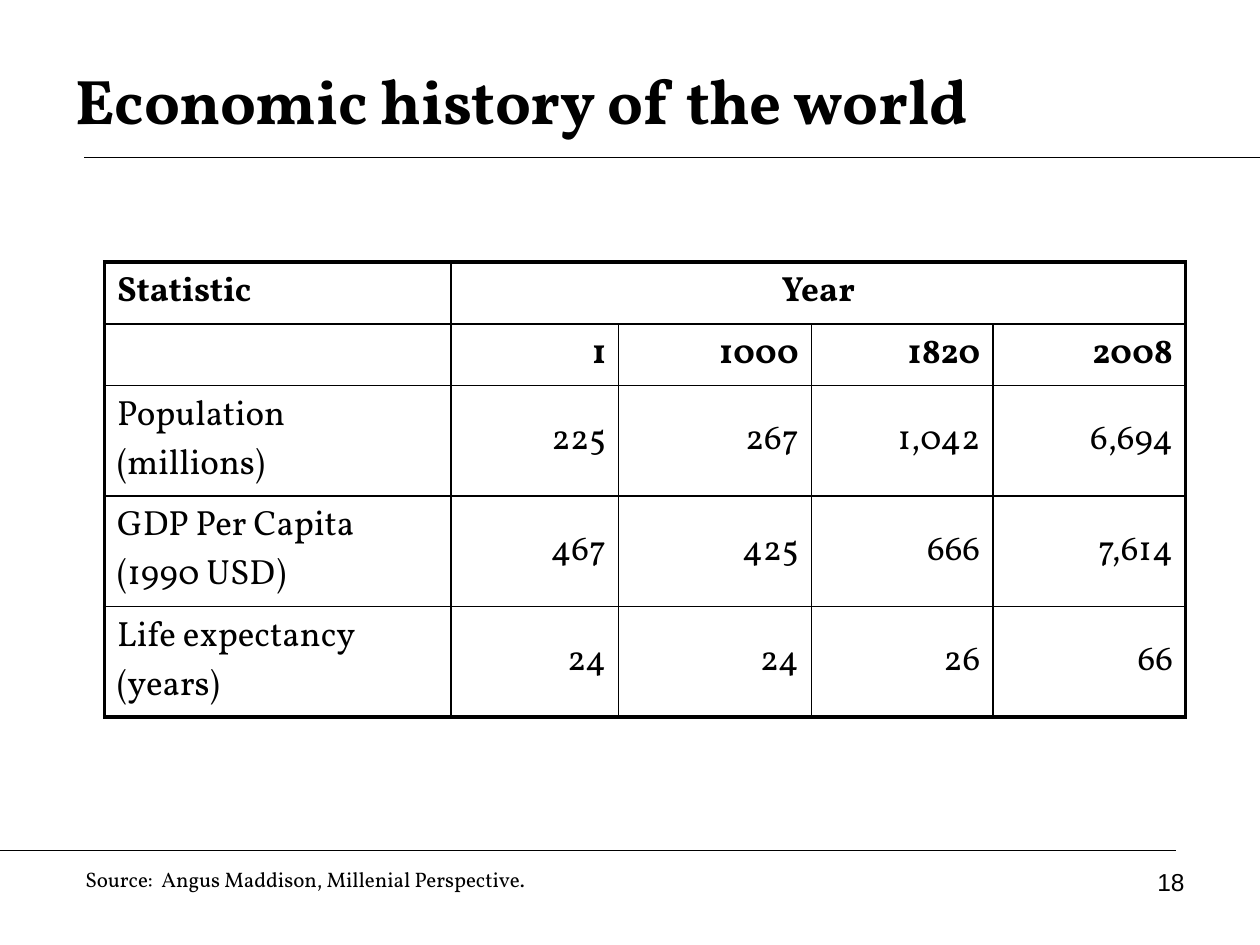
"""Build a slide with a table of world economic statistics by year."""
from dataclasses import dataclass
from typing import NamedTuple

from lxml.etree import SubElement
from pptx import Presentation
from pptx.dml.color import RGBColor
from pptx.enum.shapes import MSO_CONNECTOR as Conn
from pptx.enum.text import MSO_ANCHOR as Anchor, PP_ALIGN as Align
from pptx.oxml.ns import qn
from pptx.util import Inches, Pt


@dataclass(frozen=True)
class Theme:
    ink: RGBColor = RGBColor(0, 0, 0)
    paper: RGBColor = RGBColor(255, 255, 255)
    serif: str = "Vollkorn"
    sans: str = "Arial"
    title: float = 36
    table: float = 20
    source: float = 12
    number: float = 14
    rule: float = 0.75
    inner: float = 1
    outer: float = 2.25


class Rule(NamedTuple):
    x1: float
    x2: float
    y: float


class Label(NamedTuple):
    text: str
    box: tuple[float, float, float, float]
    style: dict


THEME = Theme()
RULES = [Rule(0.67, 10, 1.25), Rule(0, 9.33, 6.75)]
LABELS = [
    Label("Economic history of the world", (0.5, 0.33, 9, 0.92),
          dict(size=THEME.title, bold=True, anchor=Anchor.MIDDLE)),
    Label("Source:  Angus Maddison, Millenial Perspective.", (0.58, 6.83, 4.83, 0.3),
          dict(size=THEME.source)),
    Label("18", (7.17, 6.83, 2.33, 0.52),
          dict(size=THEME.number, font=THEME.sans, align=Align.RIGHT)),
]
COL_WIDTHS = [2.75, 1.33, 1.53, 1.44, 1.53]
ROW_HEIGHTS = [0.49, 0.49, 0.79, 0.78, 0.78]
HEADER_ROWS = 2
STATISTICS = [
    ["Statistic", "Year", "", "", ""],
    ["", "1", "1000", "1820", "2008"],
    ["Population (millions)", "225", "267", "1,042", "6,694"],
    ["GDP Per Capita (1990 USD)", "467", "425", "666", "7,614"],
    ["Life expectancy (years)", "24", "24", "26", "66"],
]


def write(tf, text: str, *, size: float, font: str = THEME.serif,
          bold: bool = False, align: Align = Align.LEFT) -> None:
    """Put one formatted run of text in a text frame."""
    p = tf.paragraphs[0]
    p.alignment = align
    r = p.add_run()
    r.text = text
    r.font.size, r.font.name, r.font.bold = Pt(size), font, bold
    r.font.color.rgb = THEME.ink


def add_rule(slide, rule: Rule) -> None:
    """Draw a horizontal line."""
    x1, x2, y = map(Inches, rule)
    line = slide.shapes.add_connector(Conn.STRAIGHT, x1, y, x2, y)
    line.line.color.rgb = THEME.ink
    line.line.width = Pt(THEME.rule)
    SubElement(line._element.spPr, qn("a:effectLst"))


def add_label(slide, label: Label) -> None:
    """Add a wrapped text box."""
    style = dict(label.style)
    tf = slide.shapes.add_textbox(*map(Inches, label.box)).text_frame
    tf.word_wrap = True
    tf.vertical_anchor = style.pop("anchor", Anchor.TOP)
    write(tf, label.text, **style)


def set_borders(cell, **outer: bool) -> None:
    """Draw the four sides of a cell, heavier on the outside of the table."""
    tc_pr = cell._tc.get_or_add_tcPr()
    for side, is_outer in outer.items():
        width = Pt(THEME.outer if is_outer else THEME.inner)
        ln = SubElement(tc_pr, qn(f"a:ln{side}"), w=str(int(width)))
        fill = SubElement(ln, qn("a:solidFill"))
        SubElement(fill, qn("a:srgbClr"), val=str(THEME.ink))


def add_statistics(slide) -> None:
    """Add the table with the year heading across its number columns."""
    rows, cols = len(ROW_HEIGHTS), len(COL_WIDTHS)
    table = slide.shapes.add_table(
        rows, cols, Inches(0.83), Inches(2.08),
        Inches(sum(COL_WIDTHS)), Inches(sum(ROW_HEIGHTS))).table
    table.first_row = table.horz_banding = False
    for col, width in zip(table.columns, COL_WIDTHS):
        col.width = Inches(width)
    for row, height in zip(table.rows, ROW_HEIGHTS):
        row.height = Inches(height)
    table.cell(0, 1).merge(table.cell(0, cols - 1))
    for i, texts in enumerate(STATISTICS):
        for j, text in enumerate(texts):
            cell = table.cell(i, j)
            if cell.is_spanned:
                continue
            last = j + cell.span_width - 1
            set_borders(cell, L=j == 0, R=last == cols - 1, T=i == 0, B=i == rows - 1)
            cell.fill.solid()
            cell.fill.fore_color.rgb = THEME.paper
            cell.vertical_anchor = Anchor.MIDDLE
            align = (Align.CENTER if cell.is_merge_origin
                     else Align.RIGHT if j else Align.LEFT)
            if text:
                write(cell.text_frame, text, size=THEME.table,
                      bold=i < HEADER_ROWS, align=align)


def main() -> None:
    """Build and save the slide."""
    prs = Presentation()
    prs.slide_width, prs.slide_height = Inches(10), Inches(7.5)
    slide = prs.slides.add_slide(prs.slide_layouts[6])
    for rule in RULES:
        add_rule(slide, rule)
    add_statistics(slide)
    for label in LABELS:
        add_label(slide, label)
    prs.save("out.pptx")


if __name__ == "__main__":
    main()
